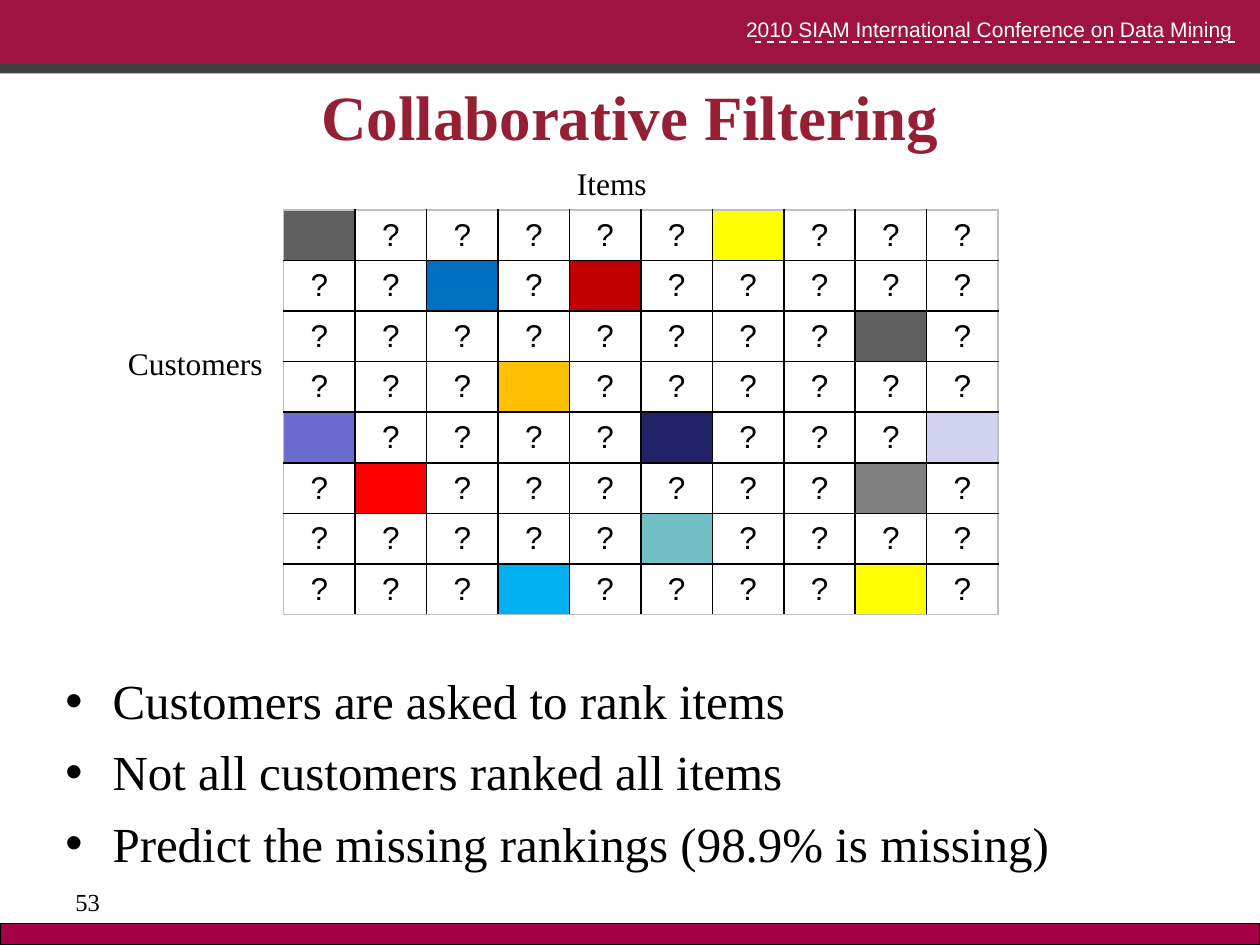
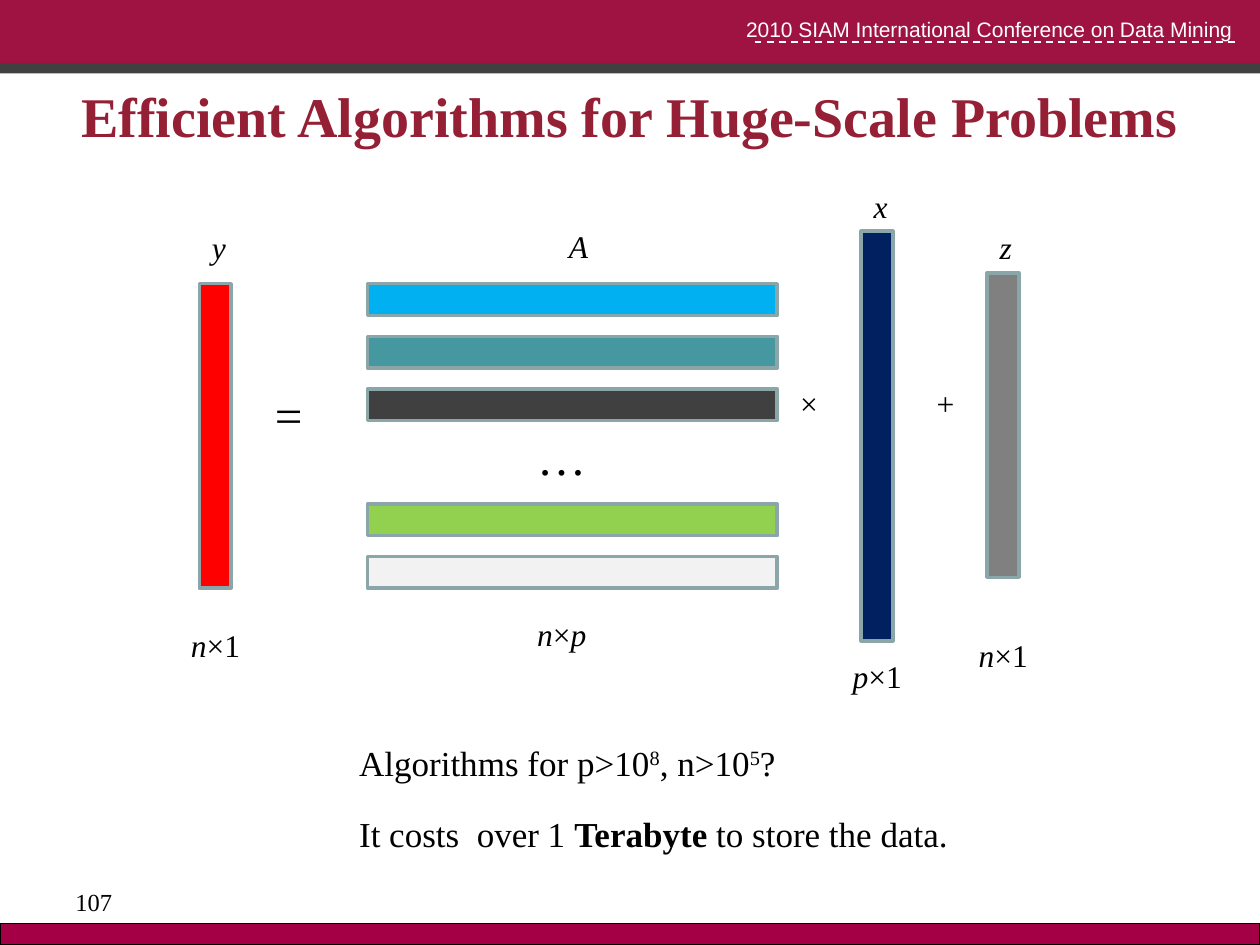
from lxml.etree import SubElement
from pptx import Presentation
from pptx.dml.color import RGBColor
from pptx.enum.dml import MSO_LINE
from pptx.enum.shapes import MSO_CONNECTOR, MSO_SHAPE
from pptx.enum.text import MSO_ANCHOR, PP_ALIGN
from pptx.oxml.ns import qn
from pptx.util import Cm, Pt

COLORS = {
    "white": "FFFFFF", "black": "000000", "crimson": "9F1342", "footer": "A40045",
    "charcoal": "404040", "title": "951F34", "outline": "8AA6A8", "edge": "BFBFBF",
    "dark gray": "606060", "gray": "808080", "pale gray": "F2F2F2",
    "yellow": "FFFF00", "amber": "FFC000", "red": "FF0000", "dark red": "C00000",
    "blue": "0070C0", "sky": "00B0F0", "navy": "002060", "indigo": "222267",
    "violet": "6B6BCF", "lavender": "D1D1F0", "aqua": "72BFC5", "teal": "4597A0",
    "green": "92D050",
}
SERIF, SANS = "Times New Roman", "Arial"
WIDTH, HEIGHT = 25.4, 19.05
ITALIC = {"italic": True}
SUPERSCRIPT = {"baseline": 30}


def rgb(name):
    return RGBColor.from_string(COLORS[name])


def add_run(paragraph, text, size=18, font=SERIF, color="black", bold=False,
            italic=False, baseline=0):
    run = paragraph.add_run()
    run.text = text
    run.font.size, run.font.name = Pt(size), font
    run.font.bold, run.font.italic = bold, italic
    run.font.color.rgb = rgb(color)
    if baseline:
        run.font._element.set("baseline", str(baseline * 1000))


def add_bullet(paragraph, indent):
    properties = paragraph._p.get_or_add_pPr()
    properties.set("marL", str(Cm(indent)))
    properties.set("indent", str(-Cm(indent)))
    SubElement(properties, qn("a:buFont"), typeface=SANS)
    SubElement(properties, qn("a:buChar"), char="•")


def add_cell_border(cell, side, color, width):
    line = SubElement(cell._tc.get_or_add_tcPr(), qn(f"a:ln{side}"), w=str(Pt(width)))
    fill = SubElement(line, qn("a:solidFill"))
    SubElement(fill, qn("a:srgbClr"), val=COLORS[color])


class Deck:
    def __init__(self):
        self.presentation = Presentation()
        self.presentation.slide_width = Cm(WIDTH)
        self.presentation.slide_height = Cm(HEIGHT)
        self.slide = None

    def new_slide(self, title, number, title_size):
        """Start a slide with the shared bands, conference line, title and number."""
        self.slide = self.presentation.slides.add_slide(self.presentation.slide_layouts[6])
        self.rectangle((0, 18.62, WIDTH, 0.43), "footer", "black", 0.75)
        self.rectangle((0, 0.42, WIDTH, 1.06), "charcoal")
        self.rectangle((0, 0, WIDTH, 1.27), "crimson")
        self.text((11.43, 0.21, 13.79, 1.27),
                  ["2010 SIAM International Conference on Data Mining "],
                  align=PP_ALIGN.RIGHT, size=12, font=SANS, color="white")
        self.dashed_line((15.21, 0.85), (24.97, 0.85))
        self.text((1.27, 1.48, 22.86, 1.69), [title], align=PP_ALIGN.CENTER,
                  anchor=MSO_ANCHOR.MIDDLE, size=title_size, color="title", bold=True)
        self.text((1.27, 17.75, 2.96, 0.88), [str(number)], size=14)

    def rectangle(self, box, fill, outline=None, width=2):
        shape = self.slide.shapes.add_shape(MSO_SHAPE.RECTANGLE, *map(Cm, box))
        shape.shadow.inherit = False
        shape.fill.solid()
        shape.fill.fore_color.rgb = rgb(fill)
        if outline:
            shape.line.color.rgb = rgb(outline)
            shape.line.width = Pt(width)
        else:
            shape.line.fill.background()

    def dashed_line(self, start, end):
        line = self.slide.shapes.add_connector(
            MSO_CONNECTOR.STRAIGHT, *map(Cm, start + end))
        line.line.color.rgb = rgb("white")
        line.line.width = Pt(1)
        line.line.dash_style = MSO_LINE.DASH
        SubElement(line._element.spPr, qn("a:effectLst"))

    def text(self, box, paragraphs, align=PP_ALIGN.LEFT, anchor=MSO_ANCHOR.TOP,
             wrap=True, bullet_indent=0, space_before=0, **style):
        """Each paragraph is a string or a list of (text, run format) pairs."""
        frame = self.slide.shapes.add_textbox(*map(Cm, box)).text_frame
        frame.word_wrap, frame.vertical_anchor = wrap, anchor
        for index, content in enumerate(paragraphs):
            paragraph = frame.add_paragraph() if index else frame.paragraphs[0]
            paragraph.alignment = align
            if index and space_before:
                paragraph.space_before = Pt(space_before)
            if bullet_indent:
                add_bullet(paragraph, bullet_indent)
            runs = [(content, {})] if isinstance(content, str) else content
            for words, run_format in runs:
                add_run(paragraph, words, **{**style, **run_format})

    def rating_table(self, left, top, rows, columns, cell_size, ratings):
        """Grid of question marks, with a filled cell for each known rating."""
        cell_width, cell_height = cell_size
        box = (left, top, columns * cell_width, rows * cell_height)
        table = self.slide.shapes.add_table(rows, columns, *map(Cm, box)).table
        table.first_row = table.horz_banding = False
        for column in table.columns:
            column.width = Cm(cell_width)
        for row in table.rows:
            row.height = Cm(cell_height)
        for r in range(rows):
            for c in range(columns):
                cell = table.cell(r, c)
                outer = {"L": c == 0, "R": c == columns - 1,
                         "T": r == 0, "B": r == rows - 1}
                for side, is_outer in outer.items():
                    add_cell_border(cell, side, "edge" if is_outer else "black", 1)
                cell.fill.solid()
                cell.fill.fore_color.rgb = rgb(ratings.get((r, c), "white"))
                cell.vertical_anchor = MSO_ANCHOR.MIDDLE
                if (r, c) not in ratings:
                    paragraph = cell.text_frame.paragraphs[0]
                    paragraph.alignment = PP_ALIGN.CENTER
                    add_run(paragraph, "?", font=SANS)


def collaborative_filtering(deck):
    deck.new_slide("Collaborative Filtering", 53, title_size=36)
    deck.text((1.07, 13.4, 23.28, 4.45),
              ["Customers are asked to rank items",
               "Not all customers ranked all items",
               "Predict the missing rankings (98.9% is missing)"],
              bullet_indent=0.95, space_before=7, size=28)
    deck.text((2.33, 6.81, 3.28, 1.02), ["Customers"], wrap=False)
    deck.text((11.38, 3.18, 1.96, 1.02), ["Items"], wrap=False)
    ratings = {
        (0, 0): "dark gray", (0, 6): "yellow", (1, 2): "blue", (1, 4): "dark red",
        (2, 8): "dark gray", (3, 3): "amber", (4, 0): "violet", (4, 5): "indigo",
        (4, 9): "lavender", (5, 1): "red", (5, 8): "gray", (6, 5): "aqua",
        (7, 3): "sky", (7, 8): "yellow",
    }
    deck.rating_table(5.72, 4.23, 8, 10, (1.44, 1.02), ratings)


def huge_scale_problems(deck):
    deck.new_slide("Efficient Algorithms for Huge-Scale Problems", 107, title_size=32)
    thickness, long_side, short_side = 0.64, 8.26, 6.14
    label_width, label_height = 1.9, 1.02

    def label(left, top, runs, **style):
        deck.text((left, top, label_width, label_height), [runs], **style)

    vectors = [  # symbol, left, top, length, colour, symbol top, size, size top
        ("y", 4.02, 5.72, short_side, "red", 4.47, "n", 12.49),
        ("x", 17.36, 4.66, long_side, "navy", 3.64, "p", 13.12),
        ("z", 19.9, 5.5, short_side, "gray", 4.47, "n", 12.7),
    ]
    for symbol, left, top, length, color, symbol_top, size, size_top in vectors:
        deck.rectangle((left, top, thickness, length), color, "outline")
        label(left, symbol_top, symbol, italic=True)
        label(left - 0.42, size_top, [(size, ITALIC), ("×1", {})])

    matrix_left, row_step = 7.41, 1.06
    for first_top, colors in ((5.72, ["sky", "teal", "charcoal"]),
                              (10.16, ["green", "pale gray"])):
        for index, color in enumerate(colors):
            deck.rectangle((matrix_left, first_top + index * row_step,
                            long_side, thickness), color, "outline")
    label(11.22, 4.45, "A", italic=True)
    label(10.58, 8.47, "…", size=28)
    label(10.58, 12.28, [("n", ITALIC), ("×", {}), ("p", ITALIC)])

    for operator, left, size in (("=", 5.29, 28), ("×", 15.88, 18), ("+", 18.63, 18)):
        label(left, 7.62, operator, size=size)

    deck.text((6.99, 14.82, 12.07, 1.11),
              [[("Algorithms for p>10", {}), ("8", SUPERSCRIPT), (", n>10", {}),
                ("5", SUPERSCRIPT), ("?", {})]], size=20)
    deck.text((6.99, 16.25, 14.61, 1.11),
              [[("It costs  over 1 ", {}), ("Terabyte ", {"bold": True}),
                ("to store the data.", {})]], size=20)


def main():
    deck = Deck()
    collaborative_filtering(deck)
    huge_scale_problems(deck)
    deck.presentation.save("out.pptx")


if __name__ == "__main__":
    main()
